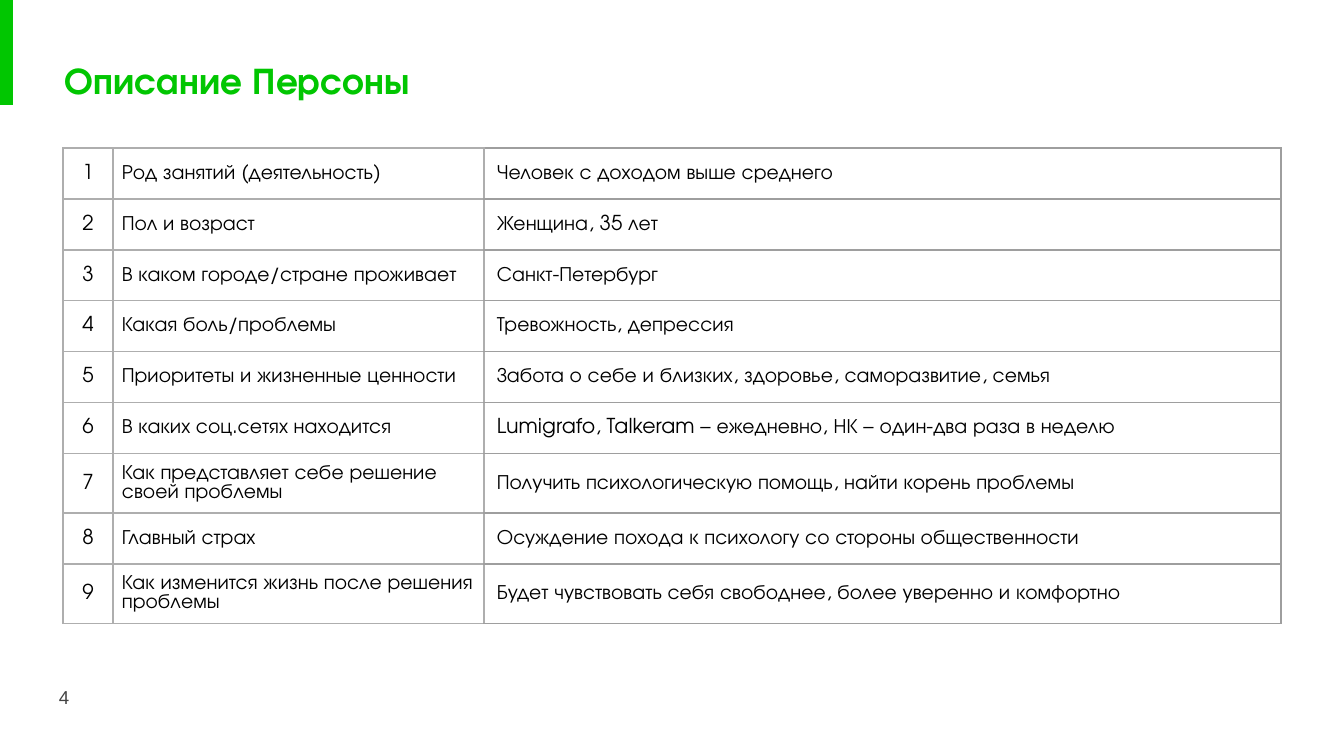
from pptx import Presentation
from pptx.dml.color import RGBColor
from pptx.enum.shapes import MSO_SHAPE
from pptx.enum.text import MSO_ANCHOR, PP_ALIGN
from pptx.oxml import parse_xml
from pptx.oxml.ns import nsdecls
from pptx.util import Pt

EMU_PER_PX = 914400 / 134.4
COLORS = {
    "green": "01C601",
    "text": "000000",
    "number": "434343",
    "border": "AEAEAE",
    "answer_border": "9E9E9E",
}
HEADING_FONT = "TeX Gyre Adventor"
COLUMN_WIDTHS = [50, 371, 797]
ONE_LINE_ROW, TWO_LINE_ROW = 51, 59
TWO_LINE_NUMBERS = {7, 9}
PERSONA = [
    ("Род занятий (деятельность)", "Человек с доходом выше среднего"),
    ("Пол и возраст", "Женщина, 35 лет"),
    ("В каком городе/стране проживает", "Санкт-Петербург"),
    ("Какая боль/проблемы", "Тревожность, депрессия"),
    ("Приоритеты и жизненные ценности",
     "Забота о себе и близких, здоровье, саморазвитие, семья"),
    ("В каких соц.сетях находится",
     "Lumigrafo, Talkeram – ежедневно, НК – один-два раза в неделю"),
    ("Как представляет себе решение своей проблемы",
     "Получить психологическую помощь, найти корень проблемы"),
    ("Главный страх", "Осуждение похода к психологу со стороны общественности"),
    ("Как изменится жизнь после решения проблемы",
     "Будет чувствовать себя свободнее, более уверенно и комфортно"),
]


def px(length):
    return round(length * EMU_PER_PX)


def style_text(paragraph, size, color, font=HEADING_FONT, bold=False,
               align=PP_ALIGN.LEFT):
    paragraph.alignment = align
    for span in paragraph.runs:
        span.font.name = font
        span.font.size = Pt(size)
        span.font.bold = bold
        span.font.color.rgb = RGBColor.from_string(COLORS[color])


def set_margins(target, horizontal, vertical):
    target.margin_left = target.margin_right = px(horizontal)
    target.margin_top = target.margin_bottom = px(vertical)


def add_text(page, text, left, top, width, height, anchor, **style):
    box = page.shapes.add_textbox(px(left), px(top), px(width), px(height))
    frame = box.text_frame
    frame.word_wrap = True
    frame.vertical_anchor = anchor
    set_margins(frame, 13, 13)
    frame.text = text
    style_text(frame.paragraphs[0], **style)


def add_accent_bar(page):
    bar = page.shapes.add_shape(MSO_SHAPE.RECTANGLE, 0, 0, px(13), px(105))
    bar.shadow.inherit = False
    bar.fill.solid()
    bar.fill.fore_color.rgb = RGBColor.from_string(COLORS["green"])
    bar.line.fill.background()


def set_borders(cell, side_colors):
    properties = cell._tc.get_or_add_tcPr()
    for position, (side, color) in enumerate(side_colors.items()):
        properties.insert(position, parse_xml(
            f'<a:{side} {nsdecls("a")} w="{Pt(0.75)}"><a:solidFill>'
            f'<a:srgbClr val="{COLORS[color]}"/></a:solidFill></a:{side}>'))


def fill_cell(cell, text, is_answer, align):
    cell.text = text
    cell.vertical_anchor = MSO_ANCHOR.MIDDLE
    set_margins(cell, *((13, 13) if is_answer else (9, 5)))
    style_text(cell.text_frame.paragraphs[0], 11, "text", align=align)
    cell.fill.background()
    borders = dict.fromkeys(["lnL", "lnR", "lnT", "lnB"], "border")
    if is_answer:
        borders.update(dict.fromkeys(["lnR", "lnT", "lnB"], "answer_border"))
    set_borders(cell, borders)


def add_persona_table(page, left, top):
    heights = [TWO_LINE_ROW if number in TWO_LINE_NUMBERS else ONE_LINE_ROW
               for number in range(1, len(PERSONA) + 1)]
    table = page.shapes.add_table(
        len(PERSONA), len(COLUMN_WIDTHS), px(left), px(top),
        px(sum(COLUMN_WIDTHS)), px(sum(heights))).table
    table.first_row = table.horz_banding = False
    for column, width in zip(table.columns, COLUMN_WIDTHS):
        column.width = px(width)
    for index, (row, height) in enumerate(zip(table.rows, heights)):
        row.height = px(height)
        question, answer = PERSONA[index]
        number_cell, question_cell, answer_cell = row.cells
        fill_cell(number_cell, str(index + 1), False, PP_ALIGN.CENTER)
        fill_cell(question_cell, question, False, PP_ALIGN.LEFT)
        fill_cell(answer_cell, answer, True, PP_ALIGN.LEFT)


def main():
    deck = Presentation()
    deck.slide_width, deck.slide_height = px(1344), px(756)
    page = deck.slides.add_slide(deck.slide_layouts[6])

    # Heading with its accent bar
    add_accent_bar(page)
    add_text(page, "Описание Персоны", 52, 43, 1204, 73, MSO_ANCHOR.MIDDLE,
             size=20, color="green", bold=True, align=PP_ALIGN.JUSTIFY)

    # Page number
    add_text(page, "4", 46, 675, 81, 58, MSO_ANCHOR.TOP,
             size=10, color="number", font="Arial")

    # Persona questions and answers
    add_persona_table(page, 63, 148)

    deck.save("out.pptx")


if __name__ == "__main__":
    main()
